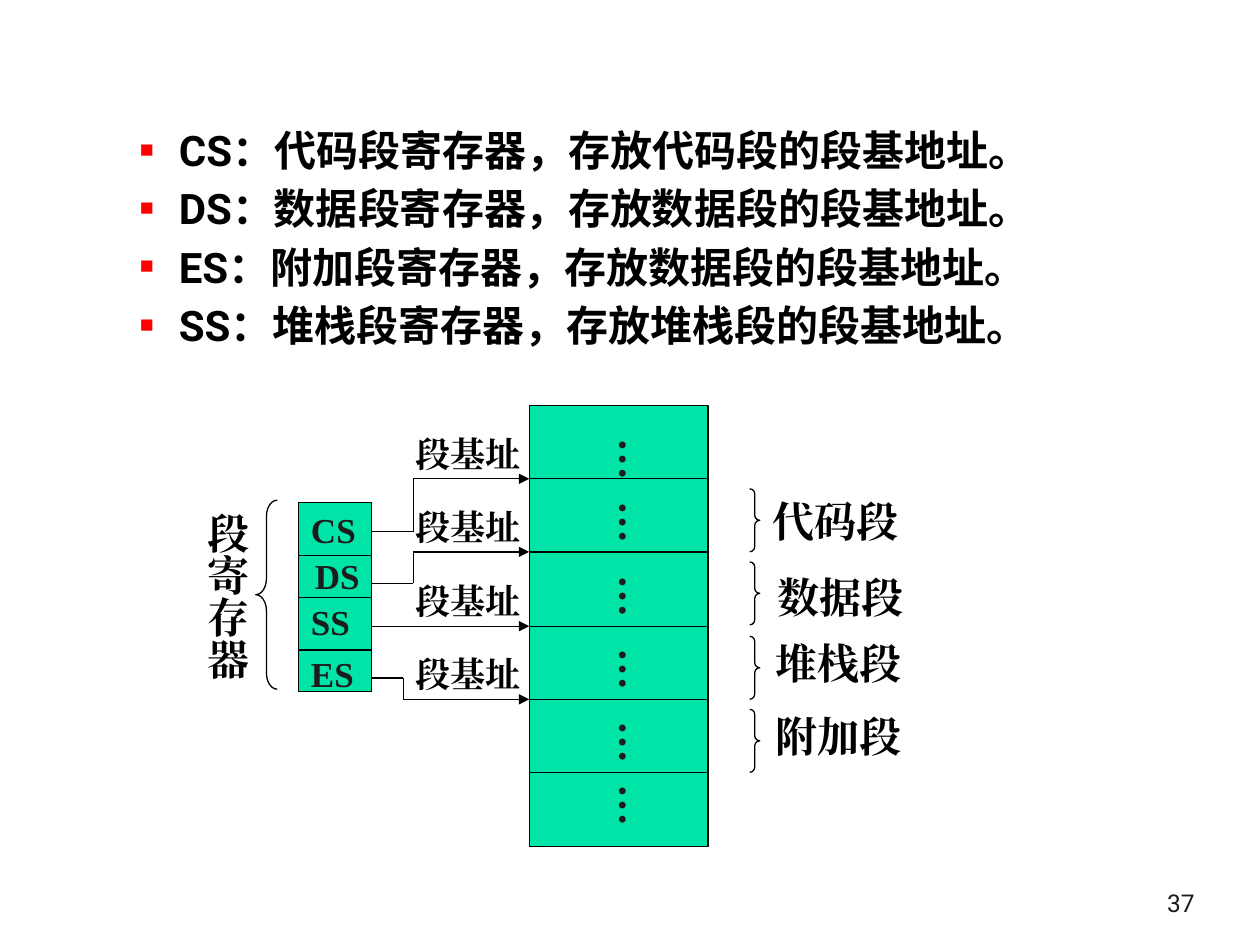
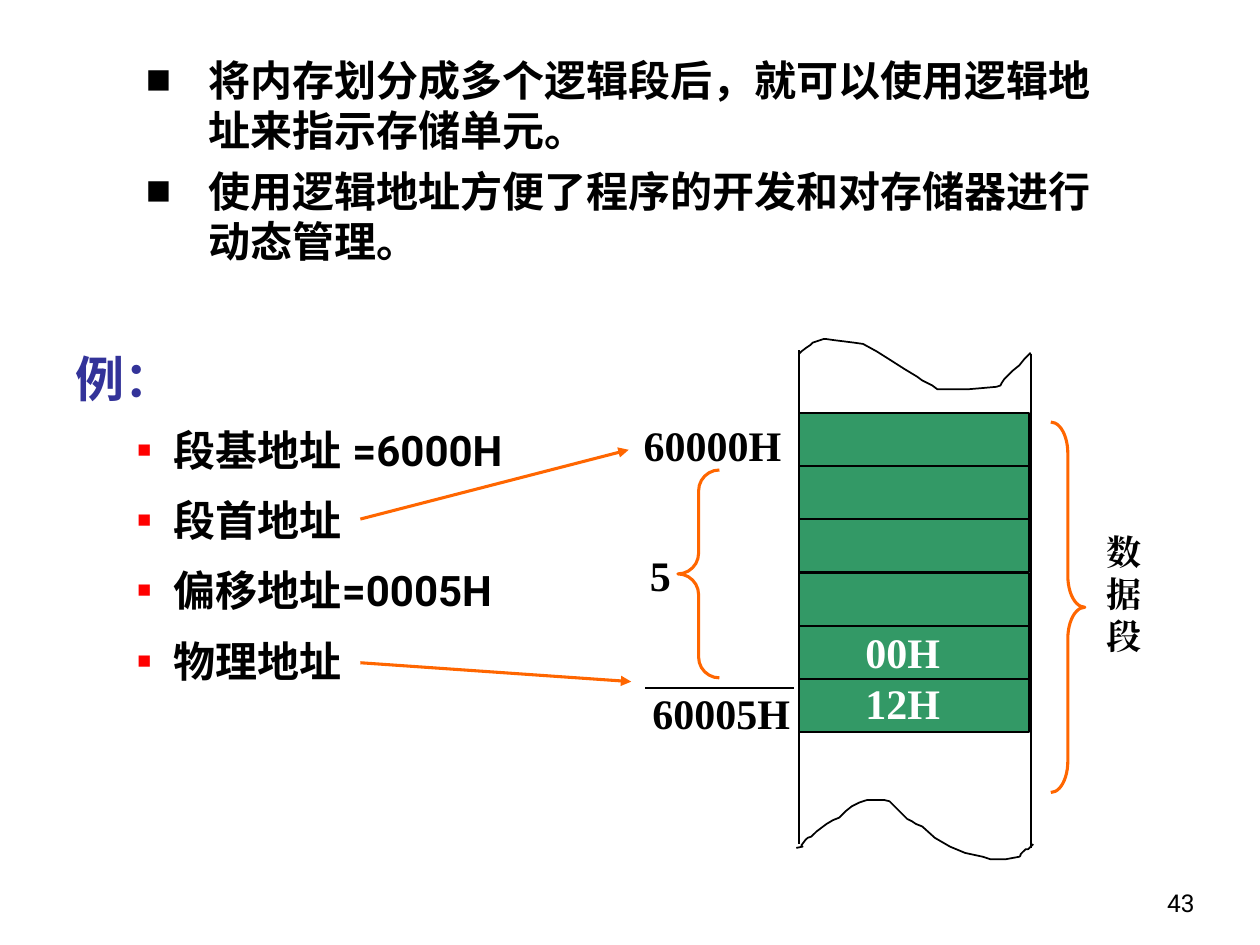
"""Build two slides on segment registers and logical addresses."""
from dataclasses import dataclass
from typing import Any, NamedTuple, Optional

from pptx import Presentation
from pptx.dml.color import RGBColor
from pptx.enum.lang import MSO_LANGUAGE_ID
from pptx.enum.shapes import MSO_CONNECTOR, MSO_SHAPE
from pptx.enum.text import MSO_ANCHOR, MSO_AUTO_SIZE, PP_ALIGN
from pptx.oxml.ns import qn
from pptx.util import Pt
from lxml import etree

EMU_PER_PX = 9144
CHINESE = MSO_LANGUAGE_ID.SIMPLIFIED_CHINESE
STRAIGHT = MSO_CONNECTOR.STRAIGHT
RECTANGLE = MSO_SHAPE.RECTANGLE
LEFT_BRACE = MSO_SHAPE.LEFT_BRACE
RIGHT_BRACE = MSO_SHAPE.RIGHT_BRACE
TOP, BOTTOM = MSO_ANCHOR.TOP, MSO_ANCHOR.BOTTOM
FIXED, GROW = MSO_AUTO_SIZE.NONE, MSO_AUTO_SIZE.SHAPE_TO_FIT_TEXT
RIGHT = PP_ALIGN.RIGHT

BLACK, INK, WHITE = "000000", "1C1C1C", "FFFFFF"
RED, ORANGE, NAVY = "FF0000", "FF6600", "333399"
MINT, GREEN = "00E4A8", "339966"
SANS, SERIF, CJK = "Roboto", "Times New Roman", "Noto Sans CJK SC"

Point = tuple[int, int]


class Area(NamedTuple):
    left: int
    top: int
    width: int
    height: int


@dataclass
class Label:
    text: str
    area: Area
    size: int = 24
    color: str = BLACK
    vertical: bool = False
    wrap: bool = True


@dataclass
class Brace:
    area: Area
    bend: float
    kind: Any = RIGHT_BRACE
    color: str = BLACK
    weight: float = 0.75


@dataclass
class ListStyle:
    indent: int
    hang: int
    line: float = 1.0
    before: float = 0
    after: float = 0
    level: int = 0
    bullet: bool = True
    bullet_color: str = BLACK
    bullet_size: int = 100
    font: str = SANS
    size: int = 24
    color: str = BLACK


def px(value: float) -> int:
    """Turn px into EMU."""
    return round(value * EMU_PER_PX)


def rgb(value: str) -> RGBColor:
    """Turn a hex string into a colour."""
    return RGBColor.from_string(value)


def apply(target: Any, values: dict[str, Any]) -> None:
    """Set attributes from a dict of format values."""
    for name, value in values.items():
        setattr(target, name, value)


def place(area: Area) -> list[int]:
    """Return the four lengths of an area in EMU."""
    return [px(value) for value in area]


def add_xml(parent: Any, tag: str, **attributes: str) -> Any:
    """Append a child element with its attributes."""
    return etree.SubElement(parent, qn(tag), attributes)


def add_span(para: Any, text: str, font: str, size: int, color: str, bold: bool = True) -> None:
    """Add a formatted run to a paragraph."""
    span = para.add_run()
    span.text = text
    apply(span.font, {"name": font, "size": Pt(size), "bold": bold, "language_id": CHINESE})
    span.font.color.rgb = rgb(color)
    add_xml(span._r.get_or_add_rPr(), "a:ea", typeface=font)


def draw_label(page: Any, label: Label) -> None:
    """Draw a bold serif label."""
    frame = page.shapes.add_textbox(*place(label.area)).text_frame
    apply(frame, {"word_wrap": label.wrap, "auto_size": GROW})
    if label.vertical:
        frame._txBody.bodyPr.set("vert", "eaVert")
    add_span(frame.paragraphs[0], label.text, SERIF, label.size, label.color)


def draw_page_number(page: Any, number: int, color: str) -> None:
    """Draw the page number in the lower right corner."""
    frame = page.shapes.add_textbox(*place(Area(750, 683, 208, 50))).text_frame
    apply(frame, {"word_wrap": True, "vertical_anchor": BOTTOM})
    frame.paragraphs[0].alignment = RIGHT
    add_span(frame.paragraphs[0], str(number), SANS, 14, color, bold=False)


def write_list(frame: Any, items: list[tuple[str, ListStyle]]) -> None:
    """Write list items into a text frame."""
    for index, (text, style) in enumerate(items):
        para = frame.add_paragraph() if index else frame.paragraphs[0]
        props = para._p.get_or_add_pPr()
        props.set("marL", str(px(style.indent)))
        props.set("indent", str(px(-style.hang)))
        if style.bullet:
            color = add_xml(props, "a:buClr")
            add_xml(color, "a:srgbClr", val=style.bullet_color)
            add_xml(props, "a:buSzPct", val=str(style.bullet_size * 1000))
            add_xml(props, "a:buFont", typeface=SERIF)
            add_xml(props, "a:buChar", char="■")
        else:
            add_xml(props, "a:buNone")
        apply(para, {
            "level": style.level,
            "line_spacing": style.line,
            "space_before": Pt(style.before if index else 0),
            "space_after": Pt(style.after),
        })
        add_span(para, text, style.font, style.size, style.color)


def fill_body(page: Any, area: Area, items: list[tuple[str, ListStyle]]) -> None:
    """Move the body placeholder and write its list."""
    body = page.placeholders[1]
    apply(body, dict(zip(("left", "top", "width", "height"), place(area))))
    apply(body.text_frame, {"auto_size": FIXED, "vertical_anchor": TOP, "word_wrap": True})
    write_list(body.text_frame, items)


def set_outline(shape: Any, color: str, weight: float) -> None:
    """Give a shape a plain line and no shadow."""
    shape.shadow.inherit = False
    shape.line.color.rgb = rgb(color)
    shape.line.width = Pt(weight)


def draw_block(page: Any, area: Area, fill: str, weight: float) -> None:
    """Draw a filled rectangle with a black line."""
    block = page.shapes.add_shape(RECTANGLE, *place(area))
    block.fill.solid()
    block.fill.fore_color.rgb = rgb(fill)
    set_outline(block, BLACK, weight)


def draw_brace(page: Any, brace: Brace) -> None:
    """Draw a brace."""
    shape = page.shapes.add_shape(brace.kind, *place(brace.area))
    shape.adjustments[0] = brace.bend
    shape.fill.background()
    set_outline(shape, brace.color, brace.weight)


def draw_route(page: Any, points: list[Point], color: str = BLACK,
               weight: float = 0.75, arrow: bool = False) -> None:
    """Draw straight lines through points, with an optional arrowhead."""
    for index, (start, end) in enumerate(zip(points, points[1:]), 2):
        line = page.shapes.add_connector(STRAIGHT, *map(px, start + end))
        line.line.color.rgb = rgb(color)
        line.line.width = Pt(weight)
        if arrow and index == len(points):
            add_xml(line.line._get_or_add_ln(), "a:tailEnd", type="triangle")
        add_xml(line._element.spPr, "a:effectLst")


def draw_curve(page: Any, points: list[Point], steps: int = 4) -> None:
    """Draw a chain of cubic curves as an open outline."""
    traced = []
    for index in range(0, len(points) - 1, 3):
        corners = points[index:index + 4]
        for step in range(1, steps + 1):
            t = step / steps
            weights = ((1 - t) ** 3, 3 * t * (1 - t) ** 2, 3 * t * t * (1 - t), t ** 3)
            traced.append(tuple(sum(w * corner[axis] for w, corner in zip(weights, corners))
                                for axis in (0, 1)))
    builder = page.shapes.build_freeform(*points[0], scale=EMU_PER_PX)
    builder.add_line_segments(traced, close=False)
    curve = builder.convert_to_shape()
    curve.fill.background()
    set_outline(curve, BLACK, 1)


def add_page(deck: Any, number: int, color: str) -> Any:
    """Add a page with a body placeholder and a page number."""
    page = deck.slides.add_slide(deck.slide_layouts[1])
    title = page.shapes.title._element
    title.getparent().remove(title)
    draw_page_number(page, number, color)
    return page


def build_registers(deck: Any) -> None:
    """Build the page on the four segment registers."""
    page = add_page(deck, 37, INK)
    style = ListStyle(81, 31, 1.05, 1.5, 1.5, 1, bullet_color=RED, bullet_size=55)
    roles = [("CS", "代码段", "代码段"), ("DS", "数据段", "数据段"),
             ("ES", "附加段", "数据段"), ("SS", "堆栈段", "堆栈段")]
    fill_body(page, Area(51, 92, 898, 197), [
        (f"{name}：{kind}寄存器，存放{stored}的段基地址。", style) for name, kind, stored in roles])

    draw_block(page, Area(420, 322, 142, 350), MINT, 0.75)
    rows = [322 + 350 * index // 6 for index in range(1, 6)]
    for row in rows:
        draw_route(page, [(420, row), (562, row)])
    for top, height in [(338, 33), (388, 50), (447, 42), (505, 33), (563, 33), (613, 42)]:
        draw_label(page, Label("…", Area(470, top, 60, height), color=INK, vertical=True))
    segments = [("代码段", 603, 388), ("数据段", 607, 449), ("堆栈段", 606, 501), ("附加段", 606, 559)]
    for row, (name, left, top) in zip(rows, segments):
        draw_brace(page, Brace(Area(595, row + 8, 8, 50), 0.5))
        draw_label(page, Label(name, Area(left, top, 158, 50)))
        draw_label(page, Label("段基址", Area(320, row - 42, 108, 43), 20))

    draw_block(page, Area(237, 399, 58, 150), MINT, 0.75)
    for divider in (441, 474, 516):
        draw_route(page, [(237, divider), (295, divider)])
    for name, left, top in [("CS", 237, 399), ("DS", 240, 435), ("SS", 237, 472), ("ES", 237, 513)]:
        draw_label(page, Label(name, Area(left, top, 56, 43), 20, INK, wrap=False))
    for row, exit_y, turn_x in zip(rows, (422, 463, 497, 538), (328, 328, 295, 320)):
        bends = [(295, exit_y), (turn_x, exit_y)] if exit_y != row else []
        draw_route(page, bends + [(turn_x, row), (420, row)], arrow=True)
    draw_brace(page, Brace(Area(203, 397, 17, 150), 0.75, LEFT_BRACE))
    draw_label(page, Label("段寄存器", Area(145, 397, 60, 158), vertical=True))


def build_addresses(deck: Any) -> None:
    """Build the page on logical addresses with its example."""
    page = add_page(deck, 43, BLACK)
    heading = ListStyle(29, 29, 1.2, bullet=False, font=CJK, size=28, color=NAVY)
    style = ListStyle(78, 29, 1.2, 4.2, 1.4, 1, bullet_color=RED, bullet_size=55)
    terms = ["段基地址 =6000H", "段首地址", "偏移地址=0005H", "物理地址"]
    fill_body(page, Area(50, 262, 421, 378),
              [("例：", heading)] + [(term, style) for term in terms])

    for index in range(6):
        draw_block(page, Area(634, round(328 + 42.2 * index), 183, 42), GREEN, 1)
    draw_route(page, [(634, 278), (634, 670)], weight=1)
    draw_route(page, [(818, 281), (818, 673)], weight=1)
    draw_curve(page, [
        (634, 281), (636, 279), (643, 273), (645, 272), (648, 270), (655, 269), (655, 269),
        (665, 271), (675, 272), (685, 273), (701, 280), (714, 292), (728, 299),
        (733, 304), (739, 305), (744, 309), (760, 308), (776, 310), (791, 307),
        (795, 306), (796, 302), (799, 299), (806, 293), (812, 286), (818, 280)])
    draw_curve(page, [
        (632, 673), (645, 669), (630, 675), (639, 667), (642, 664), (646, 663), (648, 660),
        (653, 655), (659, 652), (666, 649), (673, 642), (679, 638), (688, 635),
        (694, 635), (700, 635), (706, 636), (709, 637), (713, 644), (716, 646),
        (723, 652), (724, 652), (732, 656), (745, 669), (761, 677), (780, 680),
        (791, 683), (789, 683), (809, 680), (810, 679), (811, 677), (812, 676),
        (813, 675), (815, 674), (817, 673), (818, 672), (820, 670), (820, 670)])

    draw_brace(page, Brace(Area(834, 335, 27, 294), 0.92, color=ORANGE, weight=1.75))
    draw_brace(page, Brace(Area(538, 373, 33, 165), 0.5, LEFT_BRACE, ORANGE, 1.75))
    for start, end in [((286, 526), (501, 541)), ((286, 412), (499, 357))]:
        draw_route(page, [start, end], ORANGE, 1.75, arrow=True)
    draw_route(page, [(512, 546), (630, 546)], weight=1)
    for label in [
        Label("数据段", Area(868, 416, 50, 110), 20),
        Label("60000H", Area(501, 328, 133, 50)),
        Label("60005H", Area(508, 541, 133, 50)),
        Label("5", Area(506, 431, 44, 50)),
        Label("00H", Area(677, 492, 92, 50), color=WHITE),
        Label("12H", Area(677, 533, 92, 50), color=WHITE),
    ]:
        draw_label(page, label)

    notes = page.shapes.add_textbox(*place(Area(106, 38, 782, 180))).text_frame
    apply(notes, {"word_wrap": True, "auto_size": GROW})
    point = ListStyle(50, 50, before=6)
    write_list(notes, [("将内存划分成多个逻辑段后，就可以使用逻辑地址来指示存储单元。", point),
                       ("使用逻辑地址方便了程序的开发和对存储器进行动态管理。", point)])


def main(target: Optional[Any] = None) -> None:
    """Build the deck and save it."""
    deck = target or Presentation()
    apply(deck, {"slide_width": px(1000), "slide_height": px(750)})
    build_registers(deck)
    build_addresses(deck)
    deck.save("out.pptx")


if __name__ == "__main__":
    main()
